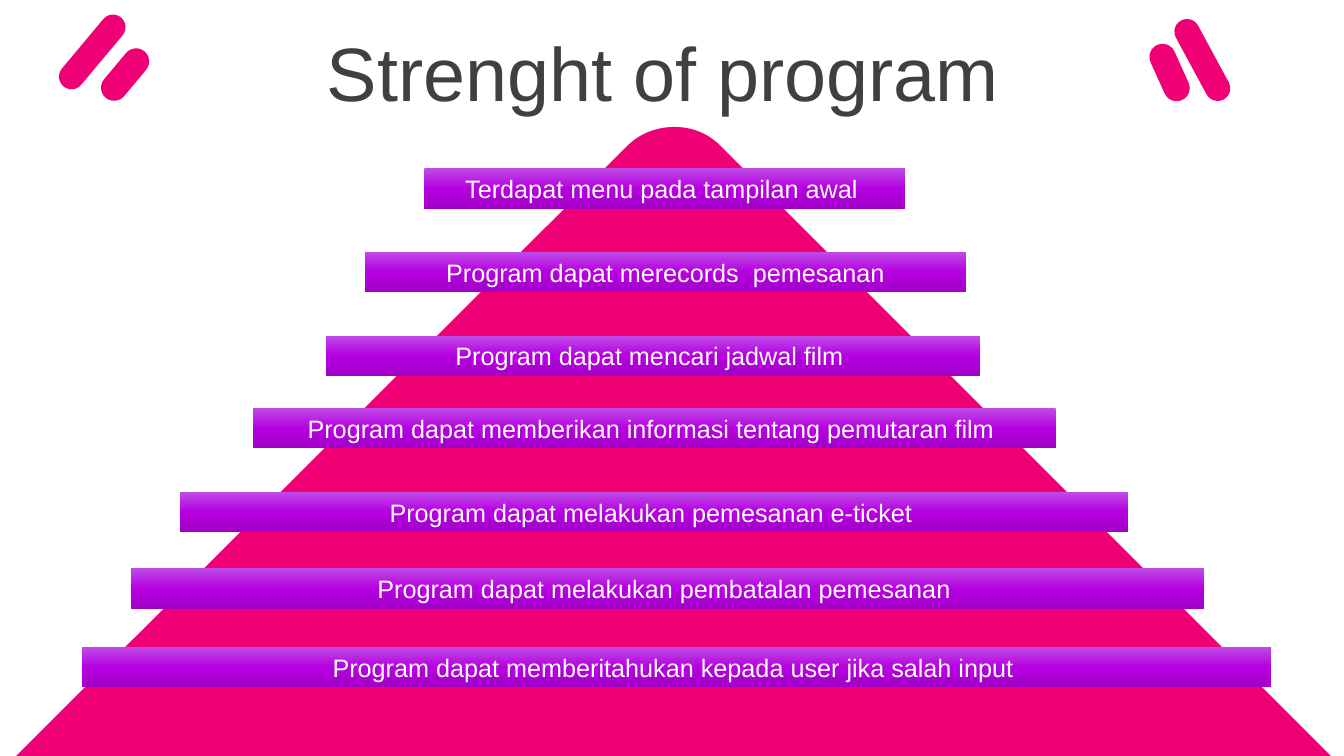
from copy import deepcopy
from pptx import Presentation
from pptx.dml.color import RGBColor
from pptx.enum.shapes import MSO_SHAPE as Preset
from pptx.enum.text import MSO_ANCHOR as Anchor, PP_ALIGN as Align
from pptx.oxml.ns import qn
from pptx.util import Inches, Pt

PINK = RGBColor(0xEF, 0x00, 0x74)
GREY = RGBColor(0x40, 0x40, 0x40)
WHITE = RGBColor(0xFF, 0xFF, 0xFF)
PURPLES = [
    (0, RGBColor(0xBF, 0x4B, 0xE6)),
    (0.5, RGBColor(0xB6, 0x00, 0xE0)),
    (1, RGBColor(0xA2, 0x00, 0xC7)),
]
FONT = "Arial"
WIDTH, HEIGHT = 13.33, 7.5
BAR_HEIGHT = 0.4

TITLE = "Strenght of program "
STRENGTHS = [
    ("Terdapat menu pada tampilan awal ", 4.21, 1.67, 4.77),
    ("Program dapat merecords  pemesanan", 3.62, 2.5, 5.96),
    ("Program dapat mencari jadwal film ", 3.23, 3.33, 6.49),
    ("Program dapat memberikan informasi tentang pemutaran film ", 2.51, 4.05, 7.96),
    ("Program dapat melakukan pemesanan e-ticket ", 1.79, 4.88, 9.4),
    ("Program dapat melakukan pembatalan pemesanan ", 1.3, 5.64, 10.64),
    ("Program dapat memberitahukan kepada user jika salah input ", 0.81, 6.42, 11.8),
]
PILLS = [
    (0.47, 0.39, 0.89, 0.25, 129.9),
    (0.94, 0.61, 0.6, 0.26, 129.9),
    (11.48, 0.47, 0.89, 0.25, 61.6),
    (11.3, 0.59, 0.6, 0.26, 65.7),
]
PEAK_CURVES = [
    [(6.22, 1.45), (6.35, 1.32), (6.52, 1.26), (6.69, 1.26)],
    [(6.69, 1.26), (6.86, 1.26), (7.02, 1.32), (7.15, 1.45)],
]
BASE = [(13.2, HEIGHT), (0.16, HEIGHT)]
CURVE_STEPS = 12


def curve_points(controls):
    for step in range(CURVE_STEPS + 1):
        t = step / CURVE_STEPS
        weights = ((1 - t) ** 3, 3 * t * (1 - t) ** 2, 3 * t * t * (1 - t), t ** 3)
        yield tuple(sum(w * c[axis] for w, c in zip(weights, controls)) for axis in (0, 1))


def paint_plain(shape):
    shape.shadow.inherit = False
    shape.line.fill.background()
    shape.fill.solid()
    shape.fill.fore_color.rgb = PINK


def paint_purple(shape):
    shape.shadow.inherit = False
    shape.line.fill.background()
    shape.fill.gradient()
    shape.fill.gradient_angle = 270
    stop_list = shape.element.spPr.find(qn("a:gradFill")).find(qn("a:gsLst"))
    stop_list.insert(1, deepcopy(stop_list[0]))
    for stop, (position, colour) in zip(shape.fill.gradient_stops, PURPLES):
        stop.position = position
        stop.color.rgb = colour


def write(shape, text, size, colour):
    frame = shape.text_frame
    frame.word_wrap = True
    frame.vertical_anchor = Anchor.MIDDLE
    para = frame.paragraphs[0]
    para.text = text
    para.alignment = Align.CENTER
    font = para.runs[0].font
    font.name, font.size, font.color.rgb = FONT, Pt(size), colour
    return para


def add_pyramid(page):
    peak = [point for curve in PEAK_CURVES for point in curve_points(curve)]
    outline = [(Inches(x), Inches(y)) for x, y in peak + BASE]
    builder = page.shapes.build_freeform(*outline[0])
    builder.add_line_segments(outline[1:], close=True)
    paint_plain(builder.convert_to_shape())


def add_title(page):
    box = page.shapes.add_textbox(Inches(0.35), Inches(0.37), Inches(12.66), Inches(0.79))
    write(box, TITLE, 54, GREY).line_spacing = 0.9


def add_pills(page):
    for *place, angle in PILLS:
        pill = page.shapes.add_shape(Preset.ROUNDED_RECTANGLE, *map(Inches, place))
        pill.adjustments[0] = 0.5
        pill.rotation = angle
        paint_plain(pill)


def add_bars(page):
    for text, left, top, width in STRENGTHS:
        place = map(Inches, (left, top, width, BAR_HEIGHT))
        bar = page.shapes.add_shape(Preset.RECTANGLE, *place)
        paint_purple(bar)
        write(bar, text, 18, WHITE)


def main():
    deck = Presentation()
    deck.slide_width, deck.slide_height = Inches(WIDTH), Inches(HEIGHT)
    page = deck.slides.add_slide(deck.slide_layouts[6])
    add_pyramid(page)
    add_title(page)
    add_pills(page)
    add_bars(page)
    deck.save("out.pptx")


if __name__ == "__main__":
    main()
